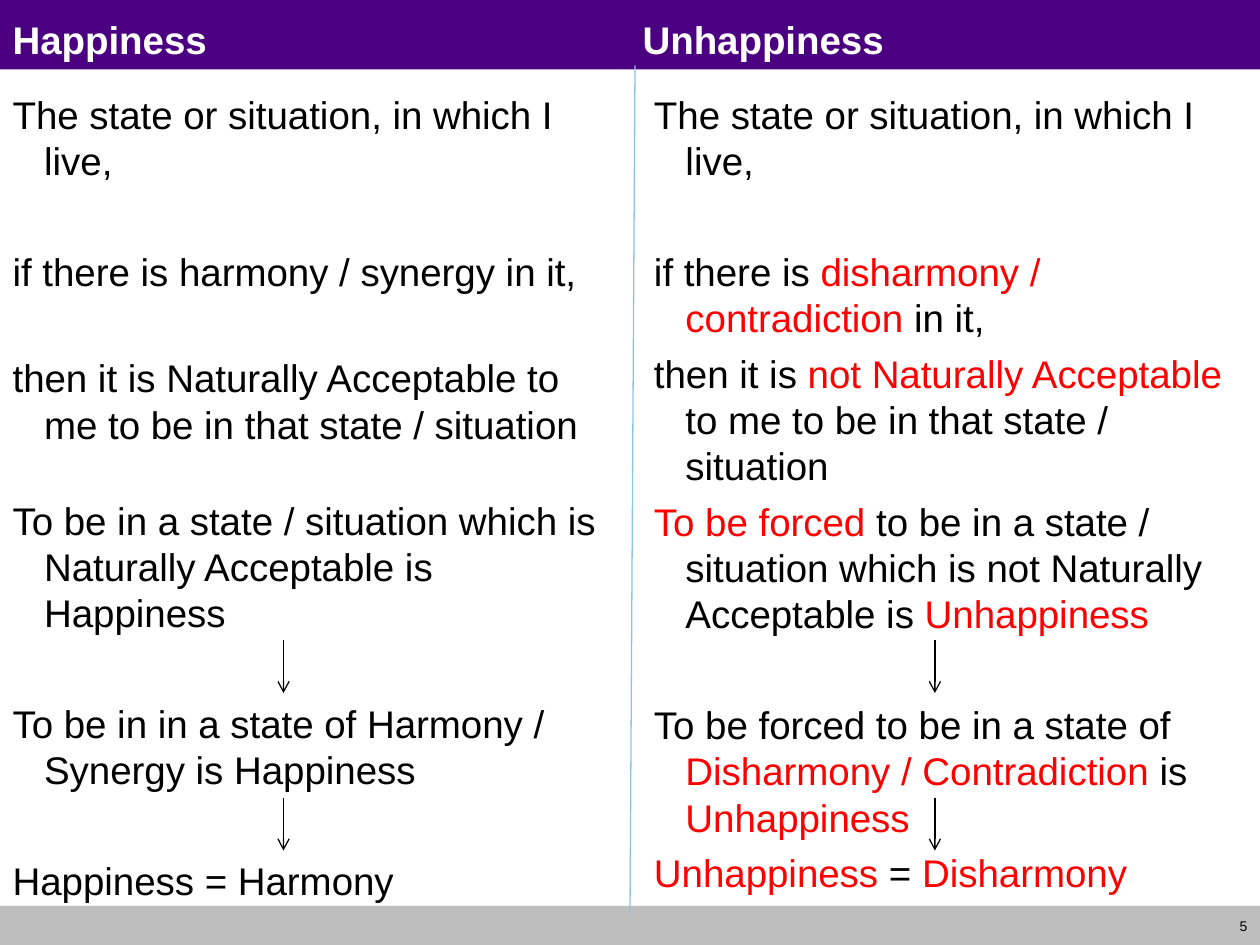
from dataclasses import dataclass

from lxml.etree import SubElement
from pptx import Presentation
from pptx.dml.color import RGBColor
from pptx.enum.shapes import MSO_CONNECTOR, MSO_SHAPE
from pptx.enum.text import MSO_ANCHOR, MSO_AUTO_SIZE, PP_ALIGN
from pptx.oxml.ns import qn
from pptx.util import Inches, Pt


@dataclass(frozen=True)
class Theme:
    font: str = "Arial"
    header: RGBColor = RGBColor(0x4B, 0x00, 0x82)
    footer: RGBColor = RGBColor(0xBE, 0xBE, 0xBE)
    divider: RGBColor = RGBColor(0x8A, 0xC6, 0xE4)
    text: RGBColor = RGBColor(0, 0, 0)
    accent: RGBColor = RGBColor(0xFF, 0, 0)
    heading: RGBColor = RGBColor(0xFF, 0xFF, 0xFF)
    text_size: float = 22
    number_size: float = 8


@dataclass(frozen=True)
class Statement:
    text: str  # passages between bars take the accent colour
    gap: float = 5.5  # space before, in points


@dataclass(frozen=True)
class Column:
    left: float
    width: float
    statements: tuple[Statement, ...]


@dataclass(frozen=True)
class Line:
    start: tuple[float, float]
    end: tuple[float, float]
    color: RGBColor
    arrow: bool = False


THEME = Theme()
WIDE_GAP = 37

HAPPINESS = Column(0, 4.93, (
    Statement("The state or situation, in which I live,", 0),
    Statement("if there is harmony / synergy in it,", WIDE_GAP),
    Statement("then it is Naturally Acceptable to me to be in that state / situation", 34.5),
    Statement("To be in a state / situation which is Naturally Acceptable is Happiness", 28.5),
    Statement("To be in in a state of Harmony / Synergy is Happiness", WIDE_GAP),
    Statement("Happiness = Harmony", WIDE_GAP),
))
UNHAPPINESS = Column(5.09, 4.91, (
    Statement("The state or situation, in which I live,", 0),
    Statement("if there is |disharmony / contradiction |in it,", WIDE_GAP),
    Statement("then it is |not Naturally Acceptable |to me to be in that state / situation"),
    Statement("|To be forced |to be in a state / situation which is not Naturally "
              "Acceptable is |Unhappiness"),
    Statement("To be forced to be in a state of |Disharmony / Contradiction |is |Unhappiness",
              WIDE_GAP),
    Statement("|Unhappiness| =| Disharmony"),
))


def place(shape, left: float, top: float, width: float, height: float) -> None:
    shape.left, shape.top = Inches(left), Inches(top)
    shape.width, shape.height = Inches(width), Inches(height)


def prepare_frame(frame, anchor: MSO_ANCHOR) -> None:
    frame.word_wrap = True
    frame.auto_size = MSO_AUTO_SIZE.NONE
    frame.vertical_anchor = anchor


def style(paragraph, size: float, color: RGBColor, bold: bool = False) -> None:
    font = paragraph.font
    font.name, font.size, font.bold = THEME.font, Pt(size), bold
    font.color.rgb = color


def add_bar(slide, top: float, height: float, color: RGBColor) -> None:
    bar = slide.shapes.add_shape(
        MSO_SHAPE.RECTANGLE, 0, Inches(top), Inches(10), Inches(height))
    bar.shadow.inherit = False
    bar.fill.solid()
    bar.fill.fore_color.rgb = color
    bar.line.fill.background()
    slide.shapes._spTree.insert(2, bar._element)  # behind the placeholders


def fill_title(title) -> None:
    place(title, 0, 0.08, 10, 0.42)
    prepare_frame(title.text_frame, MSO_ANCHOR.TOP)
    heading = title.text_frame.paragraphs[0]
    heading.text = "Happiness\tUnhappiness"
    heading.alignment = PP_ALIGN.LEFT
    stops = SubElement(heading._p.get_or_add_pPr(), qn("a:tabLst"))
    SubElement(stops, qn("a:tab"), pos=str(Inches(5)), algn="l")
    style(heading, THEME.text_size, THEME.heading, bold=True)


def fill_column(body, column: Column) -> None:
    place(body, column.left, 0.67, column.width, 6.5)
    frame = body.text_frame
    prepare_frame(frame, MSO_ANCHOR.TOP)
    for index, statement in enumerate(column.statements):
        paragraph = frame.add_paragraph() if index else frame.paragraphs[0]
        properties = paragraph._p.get_or_add_pPr()
        properties.set("marL", str(Inches(0.25)))
        properties.set("indent", str(Inches(-0.25)))
        SubElement(properties, qn("a:buNone"))
        paragraph.space_before = Pt(statement.gap)
        style(paragraph, THEME.text_size, THEME.text)
        for position, passage in enumerate(statement.text.split("|")):
            if passage:
                run = paragraph.add_run()
                run.text = passage
                if position % 2:
                    run.font.color.rgb = THEME.accent


def add_line(slide, line: Line) -> None:
    connector = slide.shapes.add_connector(
        MSO_CONNECTOR.STRAIGHT, *map(Inches, line.start + line.end))
    connector.line.color.rgb = line.color
    connector.line.width = Pt(0.75)
    if line.arrow:
        SubElement(connector.line._get_or_add_ln(), qn("a:tailEnd"), type="arrow")
    SubElement(connector._element.spPr, qn("a:effectLst"))


def add_slide_number(slide, number: str) -> None:
    box = slide.shapes.add_textbox(Inches(9.53), Inches(7.19), Inches(0.47), Inches(0.32))
    prepare_frame(box.text_frame, MSO_ANCHOR.MIDDLE)
    paragraph = box.text_frame.paragraphs[0]
    paragraph.text = number
    paragraph.alignment = PP_ALIGN.RIGHT
    style(paragraph, THEME.number_size, THEME.text)


def main() -> None:
    presentation = Presentation()
    presentation.slide_width, presentation.slide_height = Inches(10), Inches(7.5)
    slide = presentation.slides.add_slide(presentation.slide_layouts[3])

    # Header and footer bars
    add_bar(slide, 0, 0.55, THEME.header)
    add_bar(slide, 7.19, 0.31, THEME.footer)
    add_slide_number(slide, "5")

    # Headings and the two columns
    fill_title(slide.shapes.title)
    for index, column in enumerate((HAPPINESS, UNHAPPINESS), start=1):
        fill_column(slide.placeholders[index], column)

    # Divider and the arrows between conclusions
    add_line(slide, Line((5.04, 0.52), (5, 7.25), THEME.divider))
    for x in (2.25, 7.42):
        for top in (5.08, 6.33):
            add_line(slide, Line((x, top), (x, top + 0.42), THEME.text, arrow=True))

    presentation.save("out.pptx")


if __name__ == "__main__":
    main()
